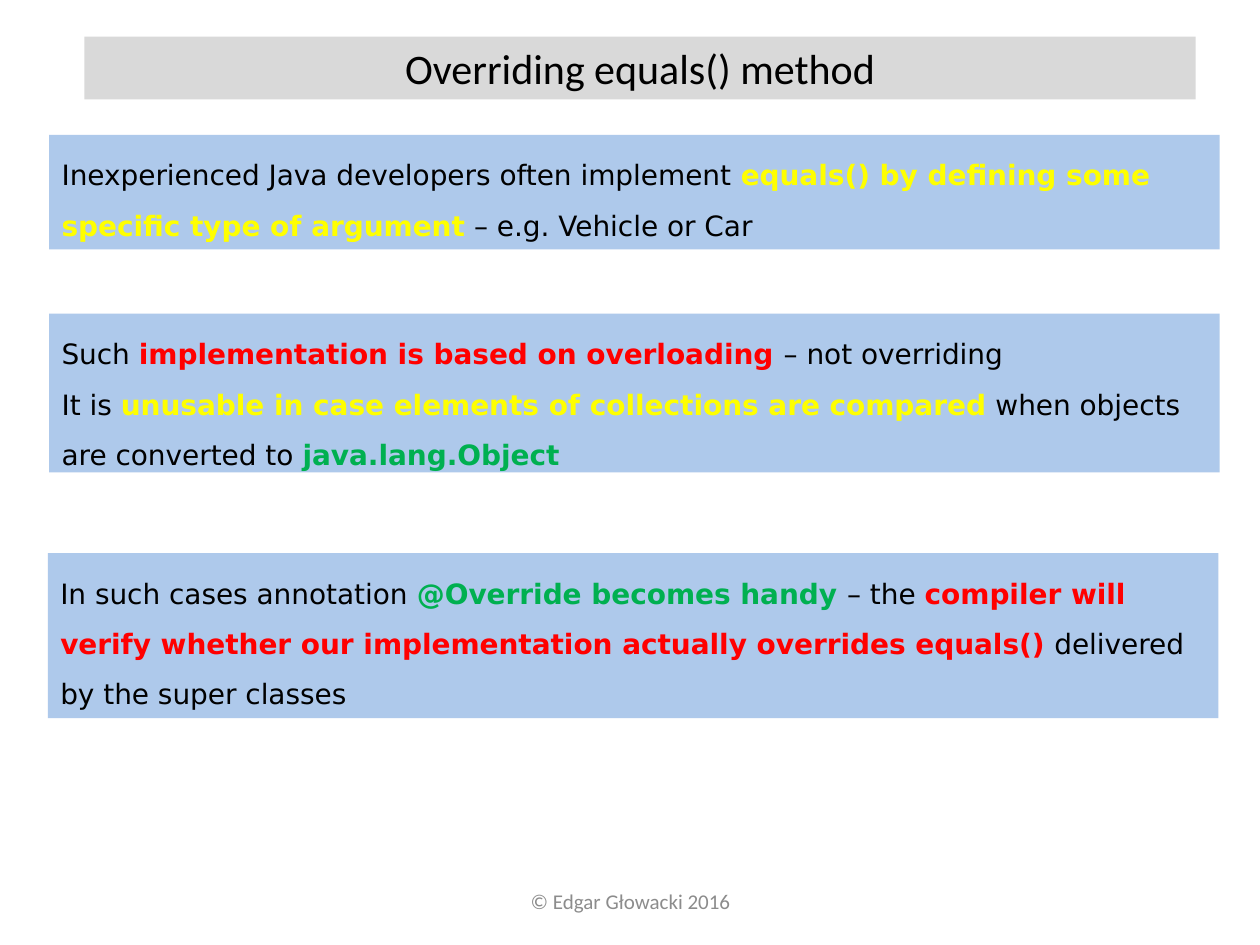
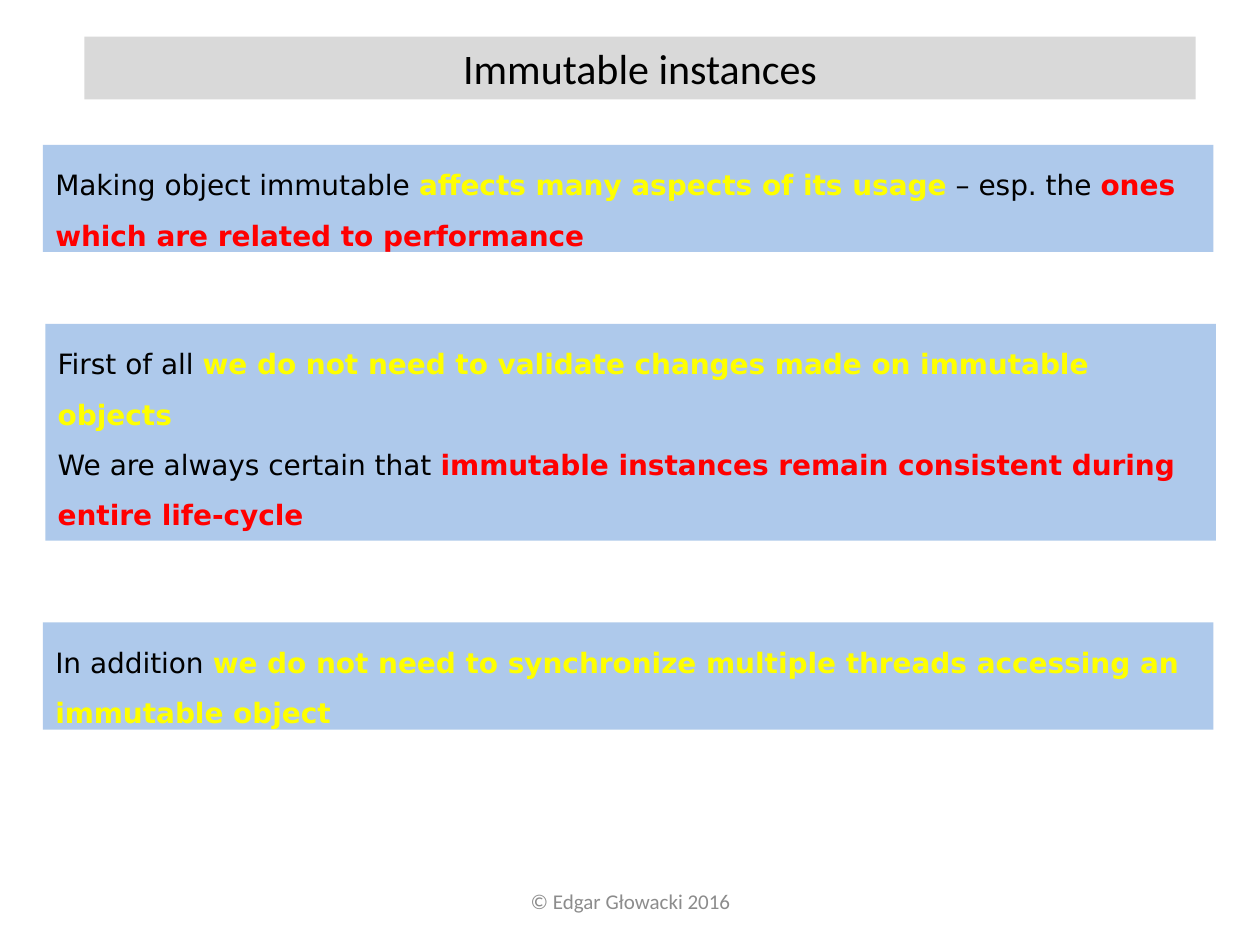
from lxml import etree
from pptx import Presentation
from pptx import util as u
from pptx.dml.color import RGBColor
from pptx.enum import shapes, text
from pptx.oxml.ns import qn

COLUMNS, ROWS = 100, 75
COLORS = {
    "band": "D9D9D9",
    "panel": "8EB4E3",
    "plain": "000000",
    "footer": "8C8C8C",
    "yellow": "FFFF00",
    "red": "FF0000",
    "green": "00B050",
}
PANEL_OPACITY = 71
PANEL_WIDTH = 92.9

# Each panel: (left column, top row, height in rows, paragraphs).
# A paragraph is a list of plain strings and (string, highlight) pairs.
LESSONS = [
    ("Overriding equals() method", [
        (3.9, 10.7, 9.1, [
            ["Inexperienced Java developers often implement ",
             ("equals() by defining some specific type of argument", "yellow"),
             " – e.g. Vehicle or Car"],
        ]),
        (3.9, 24.9, 12.6, [
            ["Such ", ("implementation is based on overloading ", "red"),
             "– not overriding"],
            ["It is ",
             ("unusable in case elements of collections are compared", "yellow"),
             " when objects are converted to ", ("java.lang.Object", "green")],
        ]),
        (3.8, 43.9, 13.1, [
            ["In such cases annotation ", ("@Override becomes handy ", "green"),
             "– the ",
             ("compiler will verify whether our implementation actually "
              "overrides equals()", "red"),
             " delivered by the super classes"],
        ]),
    ]),
    ("Immutable instances", [
        (3.4, 11.5, 8.5, [
            ["Making object immutable ",
             ("affects many aspects of its usage", "yellow"),
             " – esp. the ", ("ones which are related to performance", "red")],
        ]),
        (3.6, 25.7, 17.2, [
            ["First of all ",
             ("we do not need to validate changes made on immutable objects",
              "yellow")],
            ["We are always certain that ",
             ("immutable instances remain consistent during entire life-cycle",
              "red")],
        ]),
        (3.4, 49.4, 8.5, [
            ["In addition ",
             ("we do not need to synchronize multiple threads accessing an "
              "immutable object", "yellow")],
        ]),
    ]),
]


def write(frame, paragraphs, font="Calibri", size=12, color="plain",
          align=text.PP_ALIGN.LEFT, anchor=text.MSO_ANCHOR.TOP, spacing=None):
    frame.word_wrap = True
    frame.vertical_anchor = anchor
    for index, parts in enumerate(paragraphs):
        paragraph = frame.add_paragraph() if index else frame.paragraphs[0]
        paragraph.alignment = align
        paragraph.line_spacing = spacing
        for part in parts:
            highlighted = isinstance(part, tuple)
            words, tone = part if highlighted else (part, color)
            run = paragraph.add_run()
            run.text = words
            run.font.name = font
            run.font.size = u.Pt(size)
            run.font.bold = highlighted
            run.font.color.rgb = RGBColor.from_string(COLORS[tone])


class Deck:
    def __init__(self):
        self.presentation = Presentation()
        self.presentation.slide_width = u.Inches(10)
        self.presentation.slide_height = u.Inches(7.5)
        self.column = self.presentation.slide_width / COLUMNS
        self.row = self.presentation.slide_height / ROWS
        self.slide = None

    def place(self, left, top, width, height):
        """Turn grid columns and rows into slide lengths."""
        return (round(left * self.column), round(top * self.row),
                round(width * self.column), round(height * self.row))

    def new_slide(self):
        blank = self.presentation.slide_layouts[6]
        self.slide = self.presentation.slides.add_slide(blank)

    def box(self, area, color, opacity=100):
        box = self.slide.shapes.add_shape(
            shapes.MSO_SHAPE.RECTANGLE, *self.place(*area))
        box.shadow.inherit = False
        box.line.fill.background()
        box.fill.solid()
        box.fill.fore_color.rgb = RGBColor.from_string(COLORS[color])
        if opacity < 100:
            tint = box.fill._xPr.find(".//" + qn("a:srgbClr"))
            etree.SubElement(tint, qn("a:alpha"), val=str(opacity * 1000))
        return box

    def title(self, words):
        band = self.box((6.7, 2.9, 88.2, 5), "band")
        write(band.text_frame, [[words]], size=24, align=text.PP_ALIGN.CENTER)

    def panel(self, left, top, height, paragraphs):
        panel = self.box((left, top, PANEL_WIDTH, height), "panel", PANEL_OPACITY)
        write(panel.text_frame, paragraphs, font="DejaVu Sans", size=16,
              spacing=1.5)

    def footer(self, words):
        footer = self.slide.shapes.add_textbox(*self.place(34.2, 69.5, 31.7, 4))
        write(footer.text_frame, [[words]], color="footer",
              align=text.PP_ALIGN.CENTER, anchor=text.MSO_ANCHOR.MIDDLE)


def main():
    deck = Deck()
    for heading, panels in LESSONS:
        deck.new_slide()
        deck.footer("© Edgar Głowacki 2016")
        deck.title(heading)
        for panel in panels:
            deck.panel(*panel)
    deck.presentation.save("out.pptx")


if __name__ == "__main__":
    main()
